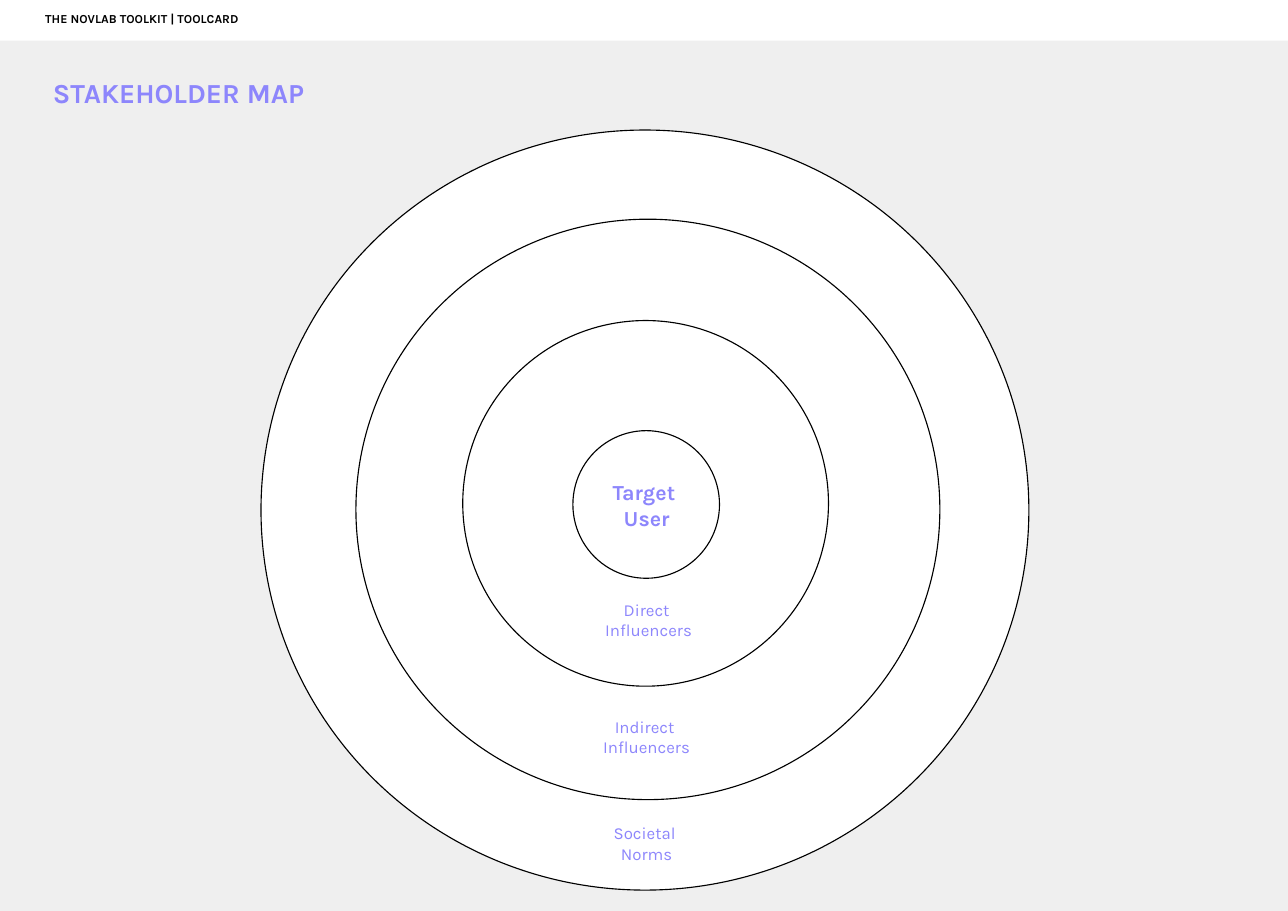
from pptx import Presentation
from pptx.dml.color import RGBColor
from pptx.enum.shapes import MSO_SHAPE
from pptx.enum.text import MSO_ANCHOR, MSO_AUTO_SIZE, PP_ALIGN
from pptx.util import Pt

RECTANGLE, OVAL = MSO_SHAPE.RECTANGLE, MSO_SHAPE.OVAL
TOP, MIDDLE = MSO_ANCHOR.TOP, MSO_ANCHOR.MIDDLE
LEFT, CENTER = PP_ALIGN.LEFT, PP_ALIGN.CENTER
NO_AUTOFIT = MSO_AUTO_SIZE.NONE

BLACK = RGBColor(0x00, 0x00, 0x00)
WHITE = RGBColor(0xFF, 0xFF, 0xFF)
GREY = RGBColor(0xEF, 0xEF, 0xEF)
VIOLET = RGBColor(0x8D, 0x86, 0xFC)

FONT = "Karla"
TITLE_ONLY_LAYOUT = 5
SLIDE_WIDTH, SLIDE_HEIGHT = 841.68, 595.44
INSET = 7.2
LABEL_CENTER, LABEL_HEIGHT = 422.6, 32.4

# left, top, width, height, from the outermost ring inwards
RINGS = [
    (170.6, 85, 501.8, 496.8),
    (232.6, 143.3, 381.6, 379.4),
    (302.4, 209.5, 239, 239),
    (374.4, 281.5, 95.8, 96.5),
]

# lines, top, width, font size, bold
LABELS = [
    (["Target ", "User"], 313.9, 113.8, 14, True),
    (["Direct", " Influencers"], 388.8, 188.6, 11, False),
    (["Indirect ", "Influencers"], 465.1, 188.6, 11, False),
    (["Societal ", "Norms"], 535, 188.6, 11, False),
]


def add_filled_shape(slide, kind, box, fill, line=None):
    shape = slide.shapes.add_shape(kind, *map(Pt, box))
    shape.shadow.inherit = False
    shape.fill.solid()
    shape.fill.fore_color.rgb = fill
    if line is None:
        shape.line.fill.background()
    else:
        shape.line.color.rgb = line
        shape.line.width = Pt(0.75)
    return shape


def write_text(shape, lines, size, color, bold=True, align=LEFT, anchor=TOP, indent=0):
    """Fill the shape with one paragraph per line of text."""
    frame = shape.text_frame
    frame.word_wrap = True
    frame.auto_size = NO_AUTOFIT
    frame.vertical_anchor = anchor
    frame.margin_top = frame.margin_bottom = frame.margin_right = Pt(INSET)
    frame.margin_left = Pt(INSET + indent)
    frame.text = "\n".join(lines)
    for paragraph in frame.paragraphs:
        paragraph.alignment = align
        paragraph.font.name = FONT
        paragraph.font.size = Pt(size)
        paragraph.font.bold = bold
        paragraph.font.color.rgb = color


def add_label(slide, lines, top, width, size, bold):
    left = LABEL_CENTER - width / 2
    label = slide.shapes.add_textbox(Pt(left), Pt(top), Pt(width), Pt(LABEL_HEIGHT))
    write_text(label, lines, size, VIOLET, bold, CENTER, MIDDLE)


def add_header(slide, text):
    header = add_filled_shape(slide, RECTANGLE, (0, 0, SLIDE_WIDTH, 26.6), WHITE)
    write_text(header, [text], 8, BLACK, indent=22.3)


def set_title(slide, text):
    title = slide.shapes.title
    title.left, title.top, title.width, title.height = map(Pt, (0, 42.5, 478, 36.7))
    write_text(title, [text], 18, VIOLET, indent=27.4)


def main():
    presentation = Presentation()
    presentation.slide_width = Pt(SLIDE_WIDTH)
    presentation.slide_height = Pt(SLIDE_HEIGHT)
    slide = presentation.slides.add_slide(presentation.slide_layouts[TITLE_ONLY_LAYOUT])
    slide.background.fill.solid()
    slide.background.fill.fore_color.rgb = GREY

    set_title(slide, "STAKEHOLDER MAP")
    for box in RINGS:
        add_filled_shape(slide, OVAL, box, WHITE, BLACK)
    for label in LABELS:
        add_label(slide, *label)
    add_header(slide, "THE NOVLAB TOOLKIT | TOOLCARD")

    presentation.save("out.pptx")


if __name__ == "__main__":
    main()
